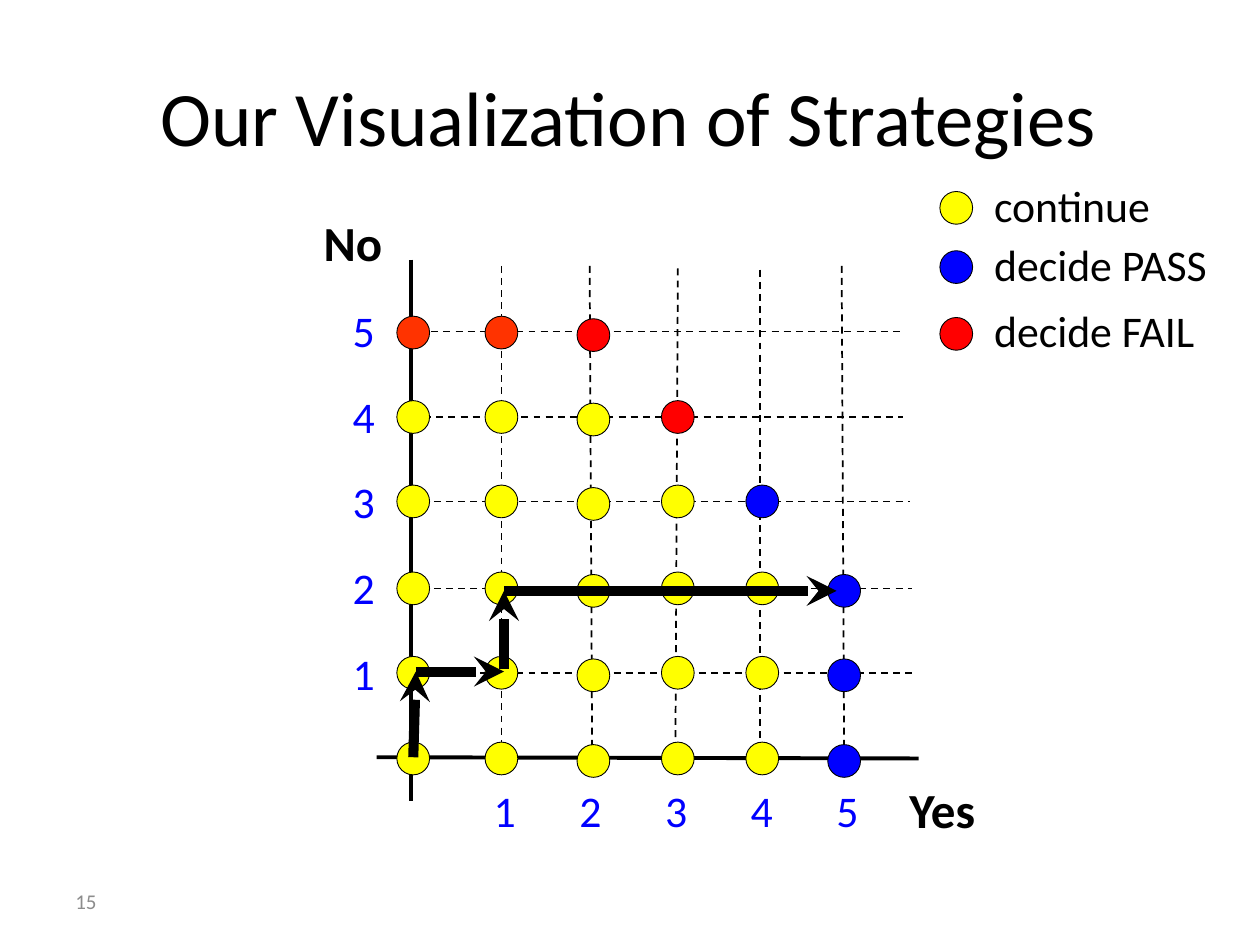
from lxml import etree
from pptx import Presentation
from pptx.dml.color import RGBColor
from pptx.enum.dml import MSO_LINE
from pptx.enum.shapes import MSO_CONNECTOR, MSO_SHAPE
from pptx.enum.text import MSO_ANCHOR, MSO_AUTO_SIZE, PP_ALIGN
from pptx.oxml.ns import qn
from pptx.util import Inches, Pt

STRAIGHT = MSO_CONNECTOR.STRAIGHT
OVAL = MSO_SHAPE.OVAL
DASH = MSO_LINE.DASH
LEFT, CENTER = PP_ALIGN.LEFT, PP_ALIGN.CENTER
TOP, MIDDLE = MSO_ANCHOR.TOP, MSO_ANCHOR.MIDDLE

FONT = "Calibri"
BLACK, BLUE, YELLOW, RED, ORANGE, GREY = (
    "000000", "0000FF", "FFFF00", "FF0000", "FF3300", "8C8C8C")
DOT = 0.26

# Grid of (yes, no) counts: centre of each column and row
COLS = [3.28, 3.98, 4.71, 5.38, 6.05, 6.7]
ROWS = [6.02, 5.34, 4.67, 3.98, 3.31, 2.64]
COL_DROP = [0, 0, 0.02, 0, 0, 0.02]
PITCH = 0.68

# Decision at each grid point, bottom row first
COLOURS = {"c": YELLOW, "p": BLUE, "f": RED, "o": ORANGE}
STRATEGY = ["cccccp", "cccccp", "cccccp", "ccccp", "cccf", "oof"]

# Dashed grid lines: (top x, bottom x, top y) and (left x, right x, y)
VERTICALS = [(3.98, 3.98, 2.11), (4.68, 4.7, 2.11), (5.38, 5.36, 2.13),
             (6.03, 6.03, 2.14), (6.68, 6.7, 2.11)]
HORIZONTALS = [(3.23, 7.25, 5.34), (3.25, 7.24, 4.67), (3.25, 7.22, 3.98),
               (3.27, 7.17, 3.31), (3.23, 7.17, 2.63)]

# Sample walk: start, end, arrowhead
WALK = [((3.28, 6.01), (3.3, 5.33), True),
        ((3.3, 5.33), (4, 5.33), True),
        ((4, 5.31), (4, 4.69), True),
        ((4, 4.69), (4.71, 4.69), False),
        ((4.71, 4.69), (5.41, 4.69), False),
        ((5.35, 4.69), (6.64, 4.69), True)]

# Legend: text, text width, text top, dot centre, colour
LEGEND = [("continue", 1.54, 1.35, 1.65, YELLOW),
          ("decide PASS", 2.02, 1.82, 2.12, BLUE),
          ("decide FAIL", 1.91, 2.34, 2.65, RED)]


def rgb(value):
    return RGBColor.from_string(value)


def add_line(s, start, end, width, dashed=False, arrow=False):
    c = s.shapes.add_connector(STRAIGHT, *map(Inches, (*start, *end)))
    c.line.color.rgb = rgb(BLACK)
    c.line.width = Pt(width)
    if dashed:
        c.line.dash_style = DASH
    if arrow:
        etree.SubElement(c.line._get_or_add_ln(), qn("a:tailEnd"),
                         type="stealth")
    etree.SubElement(c._element.spPr, qn("a:effectLst"))


def add_dot(s, x, y, colour):
    sp = s.shapes.add_shape(OVAL, Inches(x - DOT / 2), Inches(y - DOT / 2),
                            Inches(DOT), Inches(DOT))
    sp.shadow.inherit = False
    sp.fill.solid()
    sp.fill.fore_color.rgb = rgb(colour)
    sp.line.color.rgb = rgb(BLACK)
    sp.line.width = Pt(0.5)


def add_text(s, text, box, size, colour=BLACK, bold=False, wrap=False,
             align=LEFT, anchor=TOP, inset=(0.1, 0.05)):
    tb = s.shapes.add_textbox(*map(Inches, box))
    tf = tb.text_frame
    tf.word_wrap = wrap
    tf.auto_size = MSO_AUTO_SIZE.NONE if wrap else MSO_AUTO_SIZE.SHAPE_TO_FIT_TEXT
    tf.vertical_anchor = anchor
    tf.margin_left = tf.margin_right = Inches(inset[0])
    tf.margin_top = tf.margin_bottom = Inches(inset[1])
    p = tf.paragraphs[0]
    p.alignment = align
    r = p.add_run()
    r.text = text
    r.font.name = FONT
    r.font.size = Pt(size)
    r.font.bold = bold
    r.font.color.rgb = rgb(colour)


def add_grid(s):
    # Axes
    add_line(s, (3.26, 2.06), (3.26, 6.36), 2.25)
    add_line(s, (2.99, 6.01), (7.29, 6.02), 2.25)
    add_text(s, "Yes", (7.12, 6.14, 0.77, 0.57), 28, bold=True)
    add_text(s, "No", (2.47, 1.64, 0.67, 0.57), 28, bold=True)
    # Grid lines
    for x1, x2, y in VERTICALS:
        add_line(s, (x1, y), (x2, 6.06), 1, dashed=True)
    for x1, x2, y in HORIZONTALS:
        add_line(s, (x1, y), (x2, y), 1, dashed=True)
    # Axis numbers
    for i in range(5):
        number = str(i + 1)
        add_text(s, number, (3.82 + i * PITCH, 6.17, 0.38, 0.52), 25, BLUE)
        add_text(s, number, (2.7, 5.08 - i * PITCH, 0.38, 0.52), 25, BLUE)


def add_strategy(s):
    for y, decisions in zip(ROWS, STRATEGY):
        for x, drop, decision in zip(COLS, COL_DROP, decisions):
            add_dot(s, x, y + drop, COLOURS[decision])


def add_legend(s):
    for text, width, top, centre, colour in LEGEND:
        add_text(s, text, (7.75, top, width, 0.56), 25, inset=(0.14, 0.07))
        add_dot(s, 7.59, centre, colour)


def main():
    prs = Presentation()
    prs.slide_width, prs.slide_height = Inches(10), Inches(7.5)
    s = prs.slides.add_slide(prs.slide_layouts[6])

    # Title and page number
    add_text(s, "Our Visualization of Strategies", (0.49, 0.29, 9, 1.25), 44,
             wrap=True, align=CENTER, anchor=MIDDLE)
    add_text(s, "15", (0.5, 6.95, 2.33, 0.4), 12, GREY, wrap=True,
             anchor=MIDDLE)

    # Chart of decisions with its key
    add_grid(s)
    add_strategy(s)
    add_legend(s)

    # Walk through the grid
    for start, end, arrow in WALK:
        add_line(s, start, end, 5.75, arrow=arrow)

    prs.save("out.pptx")


if __name__ == "__main__":
    main()
